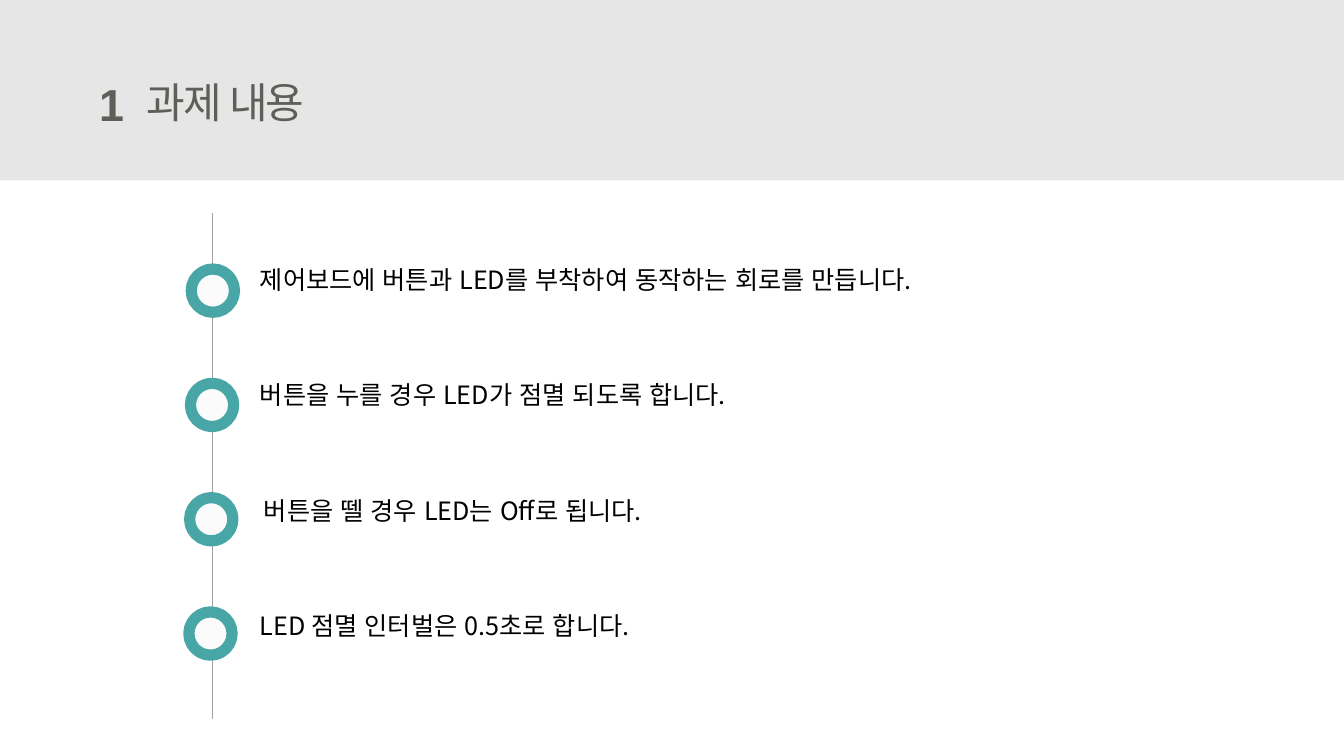
"""Build the assignment slide: a header band and a four-step timeline."""
from lxml import etree
from pptx import Presentation
from pptx import util as u
from pptx.dml.color import RGBColor
from pptx.enum import lang, shapes, text
from pptx.oxml.ns import qn

COLORS = {
    "band": "E7E6E6",
    "heading": "5F5E58",
    "body": "000000",
    "line": "A1A099",
    "ring": "49A6A6",
    "center": "FBFBFB",
}
KOREAN_FONT = "Noto Sans CJK KR"
STEPS = [
    (6.3, 18.49, "제어보드에 버튼과 LED를 부착하여 동작하는 회로를 만듭니다."),
    (6.3, 13.36, "버튼을 누를 경우 LED가 점멸 되도록 합니다."),
    (6.4, 10.85, "버튼을 뗄 경우 LED는 Off로 됩니다."),
    (6.3, 10.57, "LED 점멸 인터벌은 0.5초로 합니다."),
]


def color(name):
    return RGBColor.from_string(COLORS[name])


def add_filled(slide, kind, left, top, width, height, fill):
    shape = slide.shapes.add_shape(kind, u.Cm(left), u.Cm(top), u.Cm(width), u.Cm(height))
    shape.shadow.inherit = False
    shape.fill.solid()
    shape.fill.fore_color.rgb = color(fill)
    shape.line.fill.background()
    return shape


def add_ring(slide, left, top):
    ring = add_filled(slide, shapes.MSO_SHAPE.OVAL, left, top, 1.09, 1.09, "center")
    ring.line.color.rgb = color("ring")
    ring.line.width = u.Pt(8)


def add_vertical_line(slide, x, top, bottom):
    line = slide.shapes.add_connector(
        shapes.MSO_CONNECTOR.STRAIGHT, u.Cm(x), u.Cm(top), u.Cm(x), u.Cm(bottom))
    line.line.color.rgb = color("line")
    line.line.width = u.Pt(0.5)
    etree.SubElement(line._element.spPr, qn("a:effectLst"))


def add_label(slide, left, top, width, height, words, size, fill="body",
              font=KOREAN_FONT, bold=False, align=text.PP_ALIGN.LEFT, spacing=0):
    box = slide.shapes.add_textbox(u.Cm(left), u.Cm(top), u.Cm(width), u.Cm(height))
    frame = box.text_frame
    frame.text = words
    frame.word_wrap = False
    frame.auto_size = text.MSO_AUTO_SIZE.SHAPE_TO_FIT_TEXT
    paragraph = frame.paragraphs[0]
    paragraph.alignment = align
    run = paragraph.runs[0]
    run.font.size = u.Pt(size)
    run.font.bold = bold
    run.font.color.rgb = color(fill)
    run.font.name = font
    run.font.language_id = lang.MSO_LANGUAGE_ID.KOREAN
    properties = run._r.get_or_add_rPr()
    etree.SubElement(properties, qn("a:ea")).set("typeface", font)
    if spacing:
        properties.set("spc", str(int(spacing * 100)))


def main():
    presentation = Presentation()
    presentation.slide_width = u.Cm(33.87)
    presentation.slide_height = u.Cm(19.05)
    slide = presentation.slides.add_slide(presentation.slide_layouts[6])

    add_filled(slide, shapes.MSO_SHAPE.RECTANGLE, 0, 0, 33.87, 4.55, "band")
    add_label(slide, 2.24, 1.8, 1.14, 1.63, "1", 32, "heading", "Arial",
              bold=True, align=text.PP_ALIGN.RIGHT)
    add_label(slide, 3.45, 1.8, 4.9, 1.55, "과제 내용", 30, "heading", spacing=-1.5)

    add_vertical_line(slide, 5.36, 5.36, 18.13)
    for row, (left, width, words) in enumerate(STEPS):
        add_ring(slide, 4.82 - 0.02 * row, 6.78 + 2.88 * row)
        add_label(slide, left, 6.53 + 2.91 * row, width, 1.02, words, 18)

    presentation.save("out.pptx")


if __name__ == "__main__":
    main()
